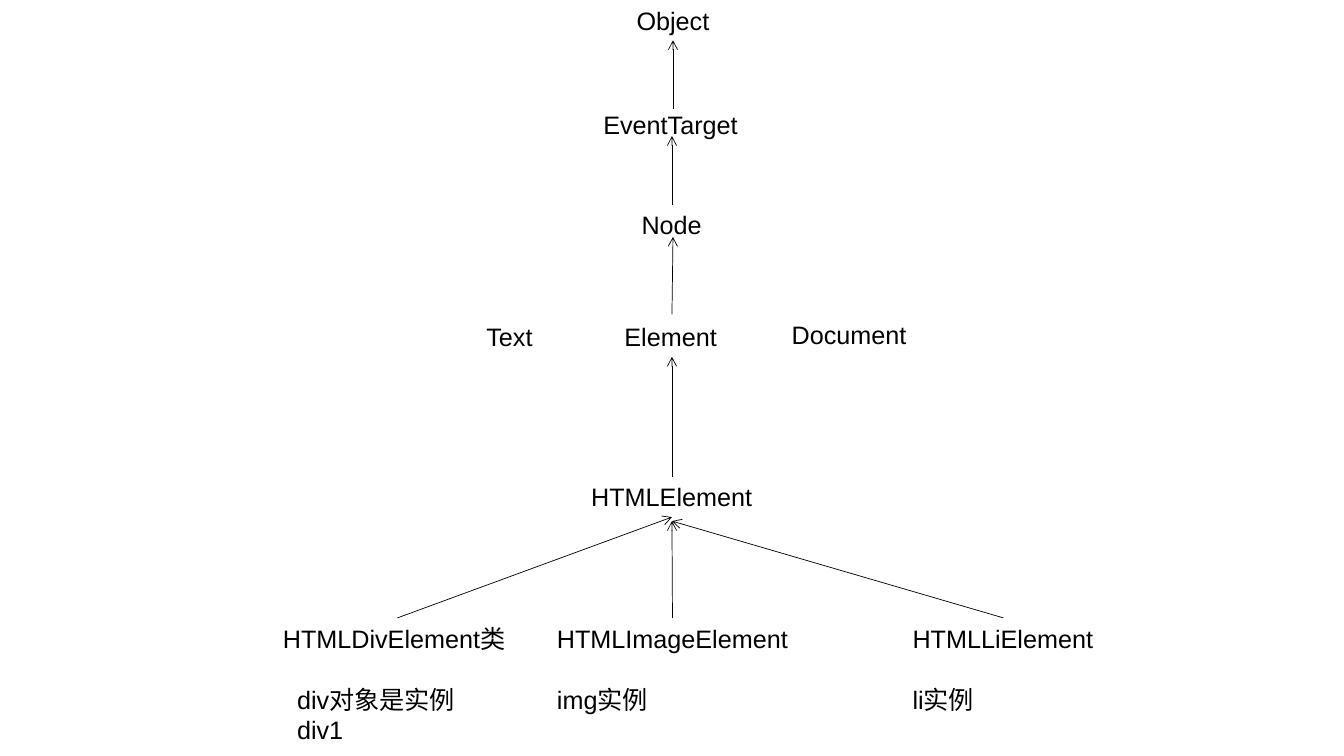
from lxml import etree
from pptx import Presentation
from pptx.dml.color import RGBColor
from pptx.enum.shapes import MSO_CONNECTOR
from pptx.enum.text import MSO_AUTO_SIZE
from pptx.oxml.ns import qn
from pptx.util import Inches, Pt

STRAIGHT = MSO_CONNECTOR.STRAIGHT
FIT = MSO_AUTO_SIZE.SHAPE_TO_FIT_TEXT
TOP, BOTTOM = 0, 2
COLORS = {"ink": "000000"}
FONT = "Arial"
SIZE = 18
GAP = 22
LINE = 0.4

CLASSES = [
    ("HTMLDivElement类", 2.71, 6.13, 2.47, ["div对象是实例", "div1"], 0.14),
    ("HTMLImageElement", 5.43, 6.13, 2.49, ["img实例"], 0),
    ("HTMLLiElement", 8.96, 6.13, 2, ["li实例"], 0),
    ("HTMLElement", 5.77, 4.73, 1.8, [], 0),
    ("Element", 6.1, 3.14, 1.14, [], 0),
    ("Node", 6.27, 2.03, 0.8, [], 0),
    ("Document", 7.76, 3.12, 1.34, [], 0),
    ("Text", 4.73, 3.14, 0.7, [], 0),
    ("EventTarget", 5.89, 1.04, 1.56, [], 0),
    ("Object", 6.22, 0, 0.92, [], 0),
]

ARROWS = [
    ("HTMLDivElement类", "HTMLElement"),
    ("HTMLImageElement", (6.67, 5.17)),
    ("HTMLLiElement", (6.67, 5.17)),
    ("HTMLElement", "Element"),
    ((6.67, 3.12), (6.68, 2.35)),
    ("Node", (6.67, 1.35)),
    ((6.68, 1.08), "Object"),
]


def add_class(slide, name, left, top, width, notes, indent):
    rows = 1 + len(notes) + bool(notes)
    height = LINE + 0.3 * (rows - 1)
    box = slide.shapes.add_textbox(
        Inches(left), Inches(top), Inches(width), Inches(height))
    frame = box.text_frame
    frame.word_wrap = False
    frame.auto_size = FIT
    frame.text = "\n".join([name] + notes)
    for i, para in enumerate(frame.paragraphs):
        if i and indent:
            para._p.get_or_add_pPr().set("marL", str(Inches(indent)))
        if i == 1:
            para.space_before = Pt(GAP)
        para.font.name = FONT
        para.font.size = Pt(SIZE)
        para.font.color.rgb = RGBColor.from_string(COLORS["ink"])
    return box


def add_arrow(slide, boxes, start, end):
    line = slide.shapes.add_connector(STRAIGHT, 0, 0, 0, 0)
    if start in boxes:
        line.begin_connect(boxes[start], TOP)
    else:
        line.begin_x, line.begin_y = map(Inches, start)
    if end in boxes:
        line.end_connect(boxes[end], BOTTOM)
    else:
        line.end_x, line.end_y = map(Inches, end)
    line.line.color.rgb = RGBColor.from_string(COLORS["ink"])
    line.line.width = Pt(0.5)
    etree.SubElement(line.line._get_or_add_ln(), qn("a:tailEnd"), type="arrow")
    etree.SubElement(line._element.spPr, qn("a:effectLst"))


def main():
    deck = Presentation()
    deck.slide_width = Inches(13.34)
    deck.slide_height = Inches(7.5)
    slide = deck.slides.add_slide(deck.slide_layouts[6])
    boxes = {row[0]: add_class(slide, *row) for row in CLASSES}
    for start, end in ARROWS:
        add_arrow(slide, boxes, start, end)
    deck.save("out.pptx")


if __name__ == "__main__":
    main()
